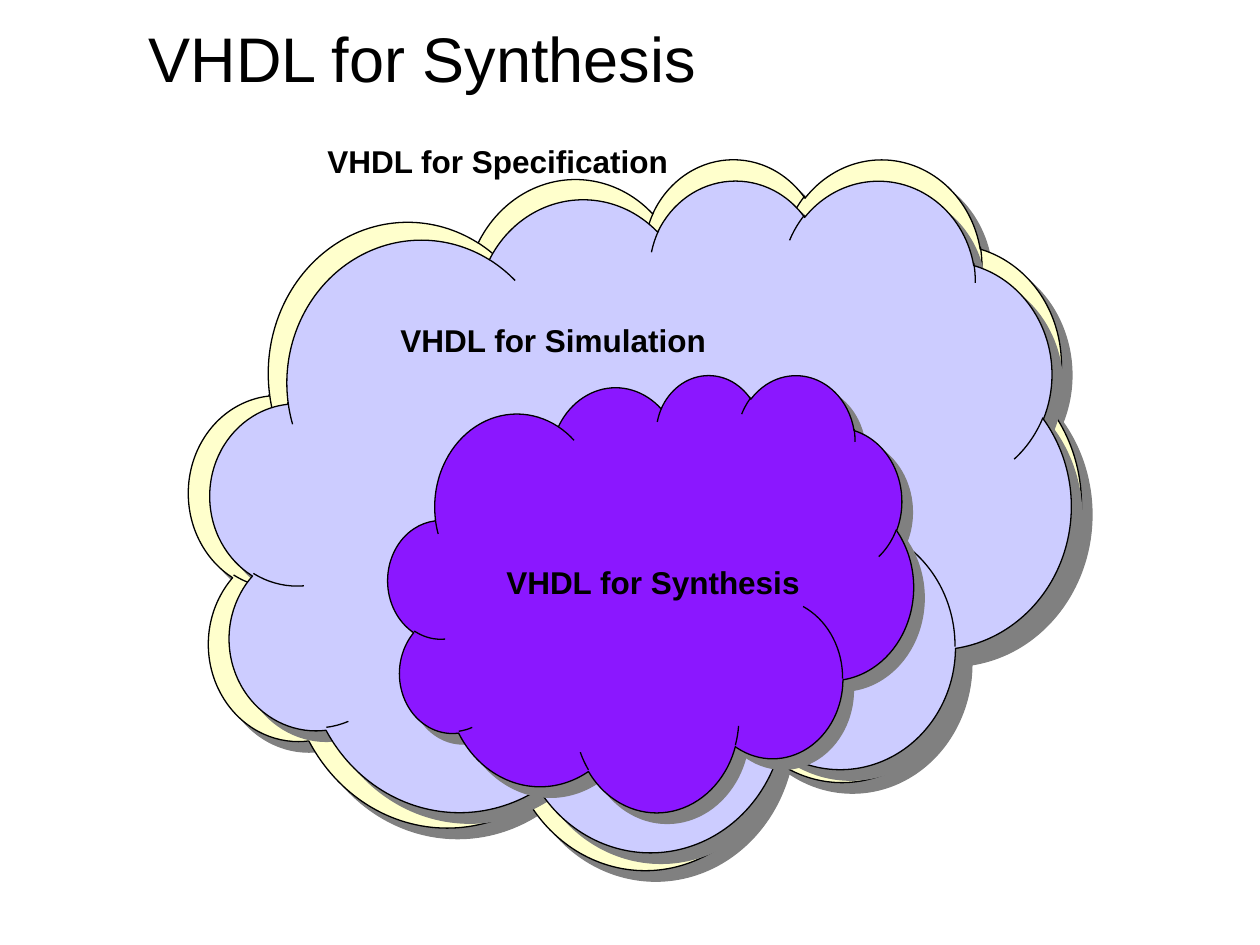
from lxml.etree import SubElement
from pptx import Presentation
from pptx.dml.color import RGBColor
from pptx.enum.shapes import MSO_SHAPE
from pptx.enum.text import MSO_ANCHOR, PP_ALIGN
from pptx.oxml.ns import qn
from pptx.util import Inches, Pt

# Content: each cloud holds the next; boxes are left, top, width, height
TITLE = "VHDL for Synthesis"
TITLE_BOX = (1.08, 0.08, 8.58, 0.75)
CLOUDS = [
    ("VHDL for Specification", "outer", (1.5, 1.25, 7.08, 5.64), (2.5, 1.08)),
    ("VHDL for Simulation", "middle", (1.67, 1.42, 6.83, 5.33), (3.08, 2.5)),
    ("VHDL for Synthesis", "inner", (3.08, 2.97, 4.17, 3.47), (3.92, 4.42)),
]
LABEL = (4.5, 0.4)

THEME = {
    "font": "Arial", "title": 36, "label": 18,
    "ink": "000000", "shade": "808080",
    "outer": "FFFFCC", "middle": "CCCCFF", "inner": "8B17FF",
}


def color(name):
    return RGBColor.from_string(THEME[name])


def place(box):
    return [Inches(n) for n in box]


def write(frame, text, size, bold=False):
    frame.word_wrap = True
    par = frame.paragraphs[0]
    par.text = text
    par.alignment = PP_ALIGN.LEFT
    font = par.font
    font.name, font.size, font.bold = THEME["font"], Pt(THEME[size]), bold
    font.color.rgb = color("ink")


def add_shade(shape):
    """Hard grey shadow, down and to the right."""
    shape.shadow.inherit = False
    effects = shape._element.spPr.find(qn("a:effectLst"))
    shade = SubElement(effects, qn("a:outerShdw"), blurRad="0",
                       dist=str(Pt(8.5)), dir=str(45 * 60000),
                       algn="ctr", rotWithShape="0")
    SubElement(shade, qn("a:srgbClr"), val=THEME["shade"])


def add_cloud(slide, fill, box):
    cloud = slide.shapes.add_shape(MSO_SHAPE.CLOUD, *place(box))
    cloud.fill.solid()
    cloud.fill.fore_color.rgb = color(fill)
    cloud.line.color.rgb = color("ink")
    cloud.line.width = Pt(0.75)
    add_shade(cloud)


def main():
    deck = Presentation()
    deck.slide_width, deck.slide_height = place((10, 7.5))
    slide = deck.slides.add_slide(deck.slide_layouts[5])

    # Title
    title = slide.shapes.title
    title.left, title.top, title.width, title.height = place(TITLE_BOX)
    title.text_frame.vertical_anchor = MSO_ANCHOR.MIDDLE
    write(title.text_frame, TITLE, "title")

    # Nested clouds, then labels on top
    for _, fill, box, _ in CLOUDS:
        add_cloud(slide, fill, box)
    for text, _, _, spot in CLOUDS:
        label = slide.shapes.add_textbox(*place(spot + LABEL))
        write(label.text_frame, text, "label", bold=True)

    deck.save("out.pptx")


if __name__ == "__main__":
    main()
